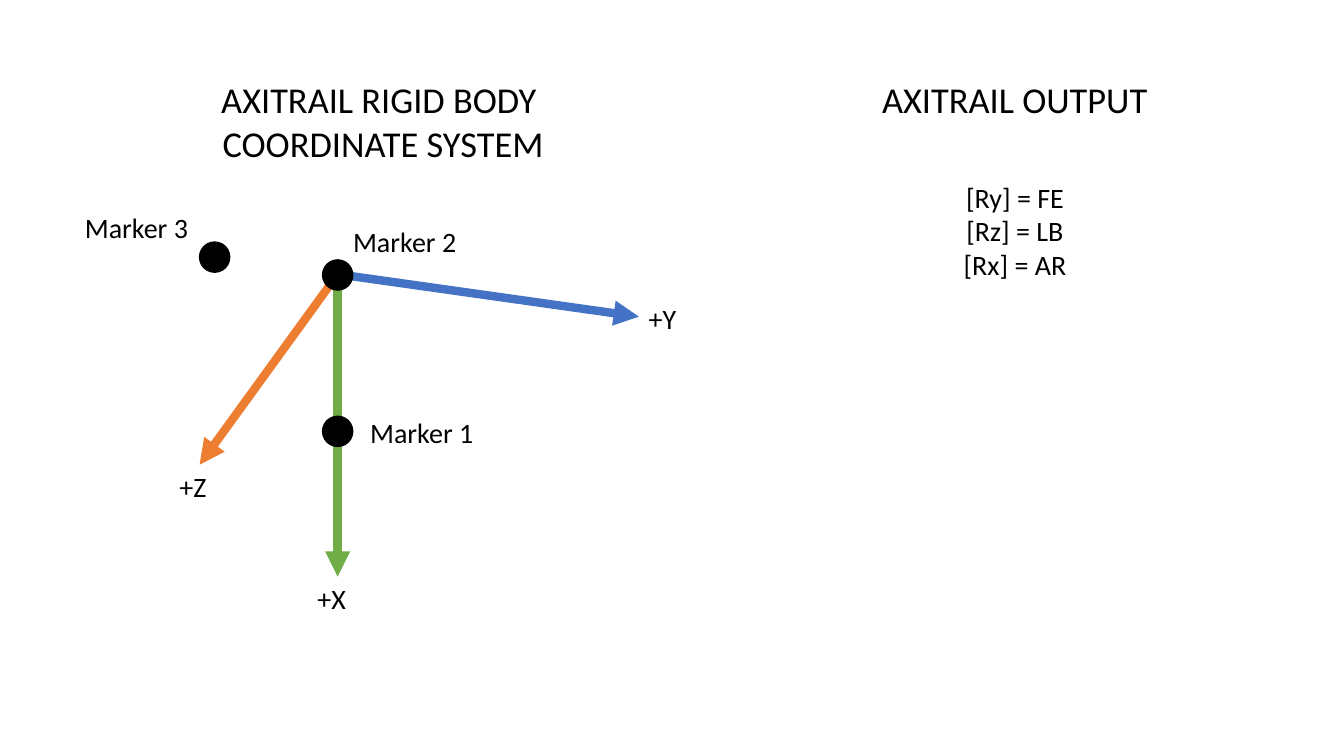
import pptx
import pptx.util
import pptx.dml.color
import pptx.enum.shapes
import pptx.enum.text
import pptx.oxml.ns
from lxml import etree

Cm = pptx.util.Cm
Pt = pptx.util.Pt
RGB = pptx.dml.color.RGBColor
Align = pptx.enum.text.PP_ALIGN

BLACK = RGB(0x00, 0x00, 0x00)
GREEN = RGB(0x70, 0xAD, 0x47)
BLUE = RGB(0x44, 0x72, 0xC4)
ORANGE = RGB(0xED, 0x7D, 0x31)

FONT = "Calibri"
DOT = 0.76              # marker diameter
TAG_W, TAG_H = 1.52, 1.12  # axis label
NAME_W = 3.48           # marker label


def write(shapes, text, x, y, w, h, size=20, align=Align.CENTER):
    """Add a text box with one paragraph per line of text."""
    box = shapes.add_textbox(Cm(x), Cm(y), Cm(w), Cm(h))
    frame = box.text_frame
    frame.word_wrap = True
    frame.auto_size = pptx.enum.text.MSO_AUTO_SIZE.SHAPE_TO_FIT_TEXT
    frame.text = text
    for para in frame.paragraphs:
        para.alignment = align
        for run in para.runs:
            run.font.name = FONT
            run.font.size = Pt(size)
            run.font.color.rgb = BLACK


def arrow(shapes, start, end, color):
    kind = pptx.enum.shapes.MSO_CONNECTOR.STRAIGHT
    line = shapes.add_connector(kind, *[Cm(v) for v in (*start, *end)])
    line.line.color.rgb = color
    line.line.width = Pt(6)
    # Arrowhead and no shadow
    qn = pptx.oxml.ns.qn
    etree.SubElement(line.line._get_or_add_ln(), qn("a:tailEnd"), type="triangle")
    etree.SubElement(line._element.spPr, qn("a:effectLst"))


def marker(shapes, x, y):
    """Add a dot centred on x, y."""
    kind = pptx.enum.shapes.MSO_SHAPE.OVAL
    dot = shapes.add_shape(kind, Cm(x - DOT / 2), Cm(y - DOT / 2), Cm(DOT), Cm(DOT))
    dot.shadow.inherit = False
    dot.fill.solid()
    dot.fill.fore_color.rgb = BLACK
    dot.line.color.rgb = BLACK
    dot.line.width = Pt(1)


def draw_axes(slide, x, y, w):
    """Left region: title, axes and markers."""
    group = slide.shapes.add_group_shape().shapes

    # Axes: label, tip, label offset from the tip, colour
    start = (x + 6.81, y + 5.08)
    below, beside = (-TAG_W / 2, 0), (0, -0.51)
    axes = [
        ("+X", 6.81, 12.7, below, GREEN),
        ("+Y", 14.4, 6.15, beside, BLUE),
        ("+Z", 3.33, 9.88, below, ORANGE),
    ]
    for tag, dx, dy, (sx, sy), color in axes:
        tip = (x + dx, y + dy)
        arrow(group, start, tip, color)
        write(group, tag, tip[0] + sx, tip[1] + sy, TAG_W, TAG_H, align=Align.LEFT)

    # Markers: name, dot centre, label corner
    marks = [
        ("Marker 1", 6.81, 9.04, 7.19, 8.51),
        ("Marker 2", 6.81, 5.1, 6.76, 3.71),
        ("Marker 3", 3.71, 4.65, 0, 3.35),
    ]
    for name, dx, dy, tx, ty in marks:
        marker(group, x + dx, y + dy)
        write(group, name, x + tx, y + ty, NAME_W, TAG_H)

    # Title
    write(slide.shapes, "AXITRAIL RIGID BODY \nCOORDINATE SYSTEM", x, y, w, 2.49, size=26)


def draw_output(slide, x, y, w):
    """Right region: title and list of rotations."""
    write(slide.shapes, "AXITRAIL OUTPUT", x, y, w, 1.37, size=26)
    write(slide.shapes, "[Ry] = FE\n[Rz] = LB\n[Rx] = AR",
          x + (w - NAME_W) / 2, y + 2.59, NAME_W, 2.82)


def main():
    deck = pptx.Presentation()
    deck.slide_width = Cm(33.87)
    deck.slide_height = Cm(19.05)
    slide = deck.slides.add_slide(deck.slide_layouts[6])
    left, top, width = 1.7, 1.83, 15.92
    draw_axes(slide, left, top, width)
    draw_output(slide, left + width, top, width)
    deck.save("out.pptx")


if __name__ == "__main__":
    main()
